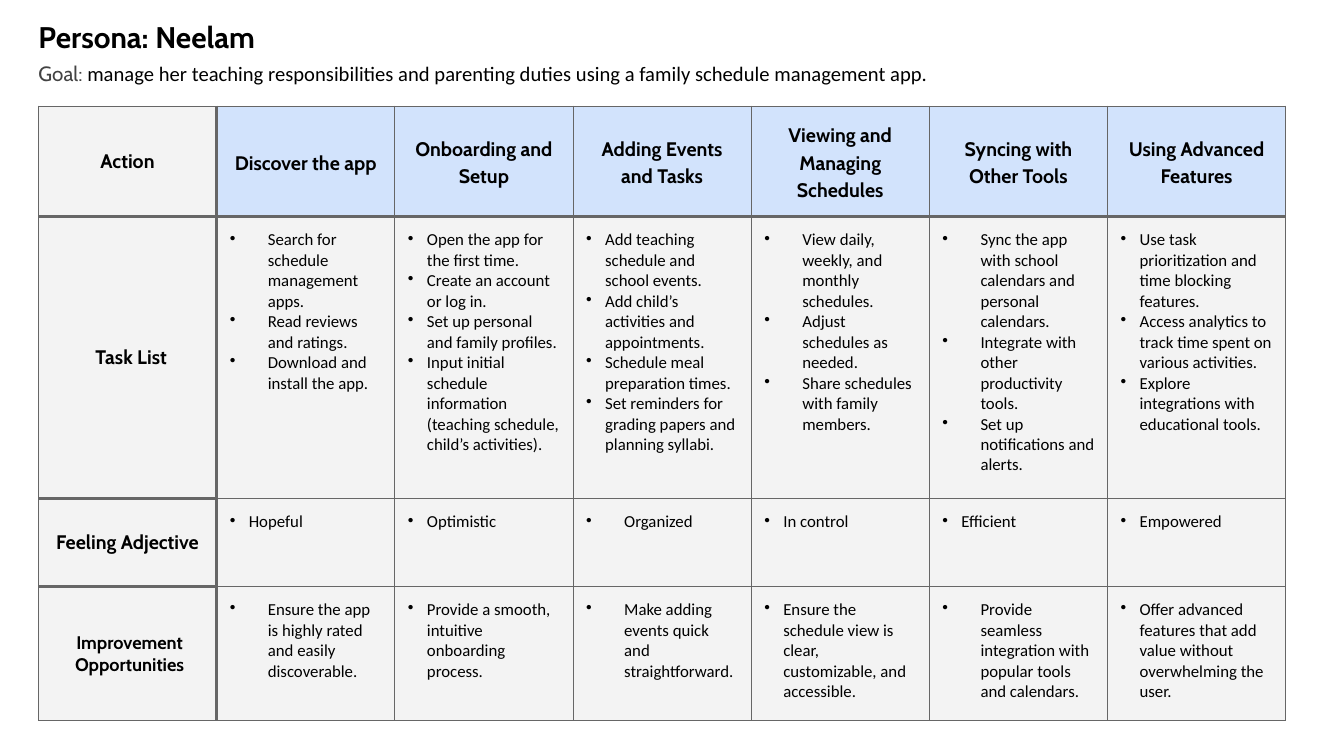
from dataclasses import dataclass

from lxml.etree import SubElement
from pptx import Presentation
from pptx.dml.color import RGBColor
from pptx.enum.text import MSO_ANCHOR as Anchor, PP_ALIGN as Align
from pptx.oxml.ns import qn
from pptx.util import Cm, Pt

BLACK, GREY, LINE = "000000", "434343", "666666"
PALE, BLUE = "F3F3F3", "D2E3FC"
THIN, THICK = 0.75, 2.25
MARGIN = 0.33
NARROW, WIDE = 0.48, 0.96
COLUMN_WIDTH = 4.49
ROW_HEIGHTS = [2.79, 7.11, 2.21, 3.38]

TITLE = {"name": "Cabin", "size": Pt(21.3), "bold": True}
GOAL_LABEL = {"name": "Cabin", "size": Pt(14.7), "bold": False}
GOAL = {"name": "Calibri", "size": Pt(14.7), "bold": False}
HEADING = {"name": "Cabin", "size": Pt(14), "bold": True}
SMALL_HEADING = {"name": "Cabin", "size": Pt(13), "bold": True}
BODY = {"name": "Calibri", "size": Pt(12), "bold": False}


@dataclass
class Bullets:
    lines: list[str]
    indent: float = NARROW


@dataclass
class Step:
    action: str
    tasks: Bullets
    feeling: Bullets
    improvement: Bullets


@dataclass
class RowLabel:
    lines: list[str]
    style: dict
    left_margin: float = MARGIN
    indent: float = 0
    first_line: float = 0


LABELS = [
    RowLabel(["Action"], HEADING),
    RowLabel(["Task List"], HEADING, indent=0.48, first_line=-0.3),
    RowLabel(["Feeling Adjective"], HEADING),
    RowLabel(["Improvement", "Opportunities"], SMALL_HEADING, left_margin=0.43),
]

STEPS = [
    Step("Discover the app",
         Bullets(["Search for schedule management apps.", "Read reviews and ratings.",
                  "Download and install the app."], WIDE),
         Bullets(["Hopeful"]),
         Bullets(["Ensure the app is highly rated and easily discoverable."], WIDE)),
    Step("Onboarding and Setup",
         Bullets(["Open the app for the first time.", "Create an account or log in.",
                  "Set up personal and family profiles.",
                  "Input initial schedule information (teaching schedule, child’s activities)."]),
         Bullets(["Optimistic"]),
         Bullets(["Provide a smooth, intuitive onboarding process."])),
    Step("Adding Events and Tasks",
         Bullets(["Add teaching schedule and school events.",
                  "Add child’s activities and appointments.",
                  "Schedule meal preparation times.",
                  "Set reminders for grading papers and planning syllabi."]),
         Bullets(["Organized"], WIDE),
         Bullets(["Make adding events quick and straightforward."], WIDE)),
    Step("Viewing and Managing Schedules",
         Bullets(["View daily, weekly, and monthly schedules.", "Adjust schedules as needed.",
                  "Share schedules with family members."], WIDE),
         Bullets(["In control"]),
         Bullets(["Ensure the schedule view is clear, customizable, and accessible."])),
    Step("Syncing with Other Tools",
         Bullets(["Sync the app with school calendars and personal calendars.",
                  "Integrate with other productivity tools.",
                  "Set up notifications and alerts."], WIDE),
         Bullets(["Efficient"]),
         Bullets(["Provide seamless integration with popular tools and calendars."], WIDE)),
    Step("Using Advanced Features",
         Bullets(["Use task prioritization and time blocking features.",
                  "Access analytics to track time spent on various activities.",
                  "Explore integrations with educational tools."]),
         Bullets(["Empowered"]),
         Bullets(["Offer advanced features that add value without overwhelming the user."])),
]


def color(value: str) -> RGBColor:
    return RGBColor.from_string(value)


def set_margins(target, left: float = MARGIN) -> None:
    for side in ("left", "top", "right", "bottom"):
        setattr(target, f"margin_{side}", Cm(left if side == "left" else MARGIN))


def add_span(para, text: str, style: dict, ink: str = BLACK) -> None:
    span = para.add_run()
    span.text = text
    for name, value in style.items():
        setattr(span.font, name, value)
    span.font.color.rgb = color(ink)


def add_box(page, top: float, width: float, height: float, spans: list[tuple]) -> None:
    box = page.shapes.add_textbox(Cm(0.64), Cm(top), Cm(width), Cm(height))
    box.text_frame.word_wrap = True
    set_margins(box.text_frame)
    for span in spans:
        add_span(box.text_frame.paragraphs[0], *span)


def set_indent(para, indent: float, first_line: float) -> None:
    properties = para._p.get_or_add_pPr()
    properties.set("marL", str(Cm(indent)))
    properties.set("indent", str(Cm(first_line)))


def paragraphs_for(cell, lines: list[str]):
    """Yield one paragraph of the cell for each line of text."""
    for index, line in enumerate(lines):
        frame = cell.text_frame
        yield (frame.add_paragraph() if index else frame.paragraphs[0]), line


def frame_cell(cell, row: int, column: int, left_margin: float = MARGIN) -> None:
    """Set margins, borders and fill; thick lines divide off the headings."""
    set_margins(cell, left_margin)
    label = column == 0
    widths = {
        "a:lnL": THICK if column == 1 else THIN,
        "a:lnR": THICK if label else THIN,
        "a:lnT": THICK if row == 1 or (label and row > 0) else THIN,
        "a:lnB": THICK if row == 0 or (label and row < 3) else THIN,
    }
    properties = cell._tc.get_or_add_tcPr()
    for tag, width in widths.items():
        border = SubElement(properties, qn(tag), w=str(Pt(width)))
        fill = SubElement(border, qn("a:solidFill"))
        SubElement(fill, qn("a:srgbClr"), val=LINE)
    cell.fill.solid()
    cell.fill.fore_color.rgb = color(BLUE if row == 0 and not label else PALE)


def fill_label(cell, row: int, label: RowLabel) -> None:
    frame_cell(cell, row, 0, label.left_margin)
    cell.vertical_anchor = Anchor.MIDDLE
    for para, line in paragraphs_for(cell, label.lines):
        para.alignment = Align.CENTER
        set_indent(para, label.indent, label.first_line)
        add_span(para, line, label.style)


def fill_action(cell, column: int, action: str) -> None:
    frame_cell(cell, 0, column)
    cell.vertical_anchor = Anchor.MIDDLE
    para = cell.text_frame.paragraphs[0]
    para.alignment = Align.CENTER
    para.line_spacing = 1.15
    add_span(para, action, HEADING)


def fill_bullets(cell, row: int, column: int, bullets: Bullets) -> None:
    frame_cell(cell, row, column)
    for para, line in paragraphs_for(cell, bullets.lines):
        set_indent(para, bullets.indent, -bullets.indent)
        SubElement(para._p.get_or_add_pPr(), qn("a:buChar"), char="•")
        add_span(para, line, BODY)


def add_journey(page) -> None:
    columns = len(STEPS) + 1
    table = page.shapes.add_table(len(LABELS), columns, Cm(0.97), Cm(2.67),
                                  Cm(COLUMN_WIDTH * columns), Cm(sum(ROW_HEIGHTS))).table
    table.first_row = table.horz_banding = False
    for column in table.columns:
        column.width = Cm(COLUMN_WIDTH)
    for row, (label, height) in enumerate(zip(LABELS, ROW_HEIGHTS)):
        table.rows[row].height = Cm(height)
        fill_label(table.cell(row, 0), row, label)
    for column, step in enumerate(STEPS, 1):
        fill_action(table.cell(0, column), column, step.action)
        for row, bullets in enumerate((step.tasks, step.feeling, step.improvement), 1):
            fill_bullets(table.cell(row, column), row, column, bullets)


def main() -> None:
    deck = Presentation()
    deck.slide_width, deck.slide_height = Cm(33.87), Cm(19.05)
    page = deck.slides.add_slide(deck.slide_layouts[6])

    # Persona and goal
    add_box(page, 0.15, 7.34, 1.5, [("Persona: Neelam", TITLE)])
    add_box(page, 1.22, 31.45, 0.99, [
        ("Goal: ", GOAL_LABEL, GREY),
        ("manage her teaching responsibilities and parenting duties "
         "using a family schedule management app.", GOAL)])

    # Journey table
    add_journey(page)
    deck.save("out.pptx")


if __name__ == "__main__":
    main()
